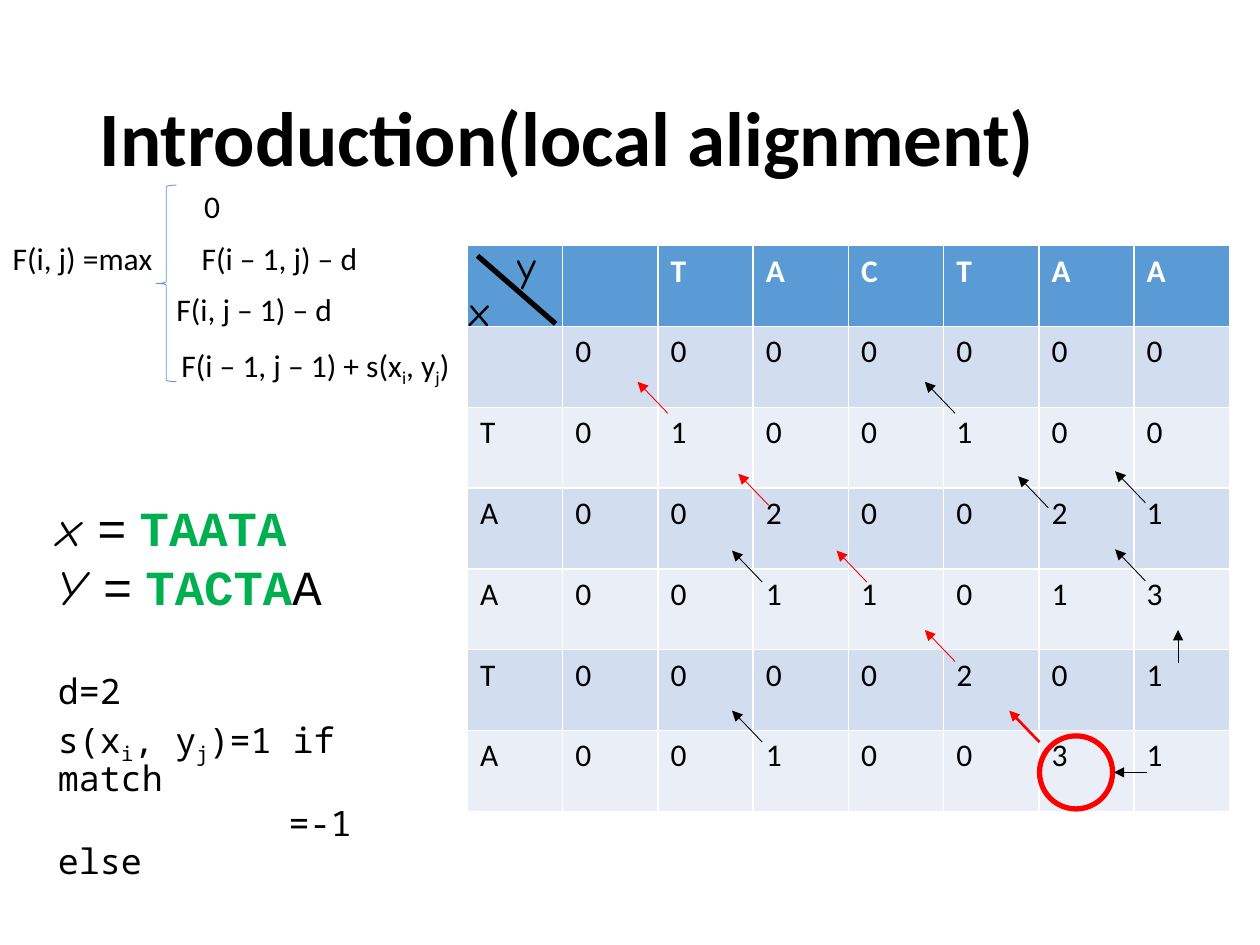
from lxml import etree
from pptx import Presentation
from pptx import util as u
from pptx.dml.color import RGBColor
from pptx.enum import shapes, text
from pptx.oxml import ns

PX = 9144
HUES = {"ink": "000000", "paper": "FFFFFF", "red": "FF0000", "green": "00B050",
        "head": "5B9BD5", "dark": "D2DEEF", "pale": "EAEFF7"}

BODY = {"name": "Calibri", "size": u.Pt(18)}
HEAD = {**BODY, "bold": True}
BIG = {"name": "Arial", "size": u.Pt(28)}
VAR = {**BIG, "name": "Comic Neue", "italic": True}
SEQ = {**BIG, "name": "Courier New"}
HIT = {**SEQ, "bold": True}
MONO = {"name": "Noto Sans Mono", "size": u.Pt(20)}
MARK = {"name": "Comic Neue", "size": u.Pt(24)}
TITLE = {"name": "Calibri", "size": u.Pt(44), "bold": True}

GRID = ["  TACTAA", " 0000000", "T0100100", "A0020021",
        "A0011013", "T0000201", "A0010031"]
STEPS = [(135, 108, "red", 0.5), (215, 181, "red", 0.5), (293, 242, "red", 0.5),
         (363, 305, "red", 0.5), (430, 369, "red", 1.5), (437, 183, "ink", 0.5),
         (363, 108, "ink", 0.5), (514, 179, "ink", 0.5), (514, 241, "ink", 0.5),
         (210, 242, "ink", 0.5), (210, 369, "ink", 0.5)]


def px(*nums):
    return [u.Emu(n * PX) for n in nums]


def rgb(hue):
    return RGBColor.from_string(HUES[hue])


def give(thing, form):
    for key, val in form.items():
        setattr(thing, key, val)


def place(shape, box):
    give(shape, dict(zip(("left", "top", "width", "height"), px(*box))))


def add_run(par, words, form, hue="ink", sub=False):
    run = par.add_run()
    run.text = words
    give(run.font, form)
    run.font.color.rgb = rgb(hue)
    if sub:
        run._r.get_or_add_rPr().set("baseline", "-25000")


def add_score(par, parts, form):
    for num, words in enumerate(parts):
        add_run(par, words, form, sub=num % 2 == 1)


def set_par(par, left=0, first=0, tab=None, gap=0, lead=1.0):
    props = par._p.get_or_add_pPr()
    props.set("marL", str(left * PX))
    props.set("indent", str(first * PX))
    give(par, {"space_before": u.Pt(gap), "line_spacing": lead})
    etree.SubElement(props, ns.qn("a:buNone"))
    if tab:
        tabs = etree.SubElement(props, ns.qn("a:tabLst"))
        etree.SubElement(tabs, ns.qn("a:tab"), pos=str(tab * PX), algn="l")


def add_pars(holder, box, forms):
    place(holder, box)
    frame = holder.text_frame
    give(frame, {"word_wrap": True, "auto_size": text.MSO_AUTO_SIZE.NONE})
    pars = [frame.paragraphs[0]] + [frame.add_paragraph() for _ in forms[1:]]
    for par, form in zip(pars, forms):
        set_par(par, **form)
    return pars


def add_title(holder, box):
    par, = add_pars(holder, box, [{"lead": 0.9}])
    par.alignment = text.PP_ALIGN.LEFT
    holder.text_frame.vertical_anchor = text.MSO_ANCHOR.MIDDLE
    add_run(par, "Introduction(local alignment)", TITLE)


def add_rule(slide, holder, box):
    next_line = {"gap": 10, "lead": 0.9}
    zero, up, side, diag = add_pars(holder, box, [
        {"left": 152, "lead": 0.9}, {"tab": 127, **next_line},
        {"left": 130, **next_line}, {"left": 134, **next_line}])
    add_run(zero, "0", BODY)
    add_run(up, "F(i, j) =max\tF(i – 1, j) – d", BODY)
    add_run(side, "F(i, j – 1) – d", BODY)
    add_score(diag, ["F(i – 1, j – 1) + s(x", "i", ", y", "j", ")"], BODY)
    brace = slide.shapes.add_shape(shapes.MSO_SHAPE.LEFT_BRACE,
                                   *px(box[0] + 124, box[1], 16, 156))
    outline(brace, "head", 0.5)


def add_input(holder, box):
    next_line = {"gap": 4, "lead": 0.9}
    one, two, cost, match, other = add_pars(holder, box, [
        {}, {}, {"gap": 31}, next_line, {"first": 183, **next_line}])
    for par, name, seq in ((one, "x ", "TAATA"), (two, "Y ", "TACTA")):
        add_run(par, name, VAR)
        add_run(par, "= ", BIG)
        add_run(par, seq, HIT, "green")
    add_run(two, "A", SEQ)
    add_run(cost, "d=2", MONO)
    add_score(match, ["s(x", "i", ", y", "j", ")=1 if match"], MONO)
    add_run(other, "=-1 else", MONO)


def outline(shape, hue, width):
    shape.shadow.inherit = False
    shape.fill.background()
    shape.line.color.rgb = rgb(hue)
    shape.line.width = u.Pt(width)


def add_line(tree, ends, hue, width, tip=True):
    line = tree.add_connector(shapes.MSO_CONNECTOR.STRAIGHT, *px(*ends))
    line.line.color.rgb = rgb(hue)
    line.line.width = u.Pt(width)
    if tip:
        etree.SubElement(line.line._get_or_add_ln(), ns.qn("a:tailEnd"), type="triangle")
    etree.SubElement(line._element.spPr, ns.qn("a:effectLst"))


def add_grid(slide, box):
    wide, high = len(GRID[0]), len(GRID)
    table = slide.shapes.add_table(high, wide, *px(*box)).table
    for col in table.columns:
        col.width = u.Emu(box[2] * PX // wide)
    for row in table.rows:
        row.height = u.Emu(box[3] * PX // high)
    for r, line in enumerate(GRID):
        fill = "head" if r == 0 else ("pale", "dark")[r % 2]
        for c, sign in enumerate(line):
            cell = table.cell(r, c)
            cell.fill.solid()
            cell.fill.fore_color.rgb = rgb(fill)
            if sign != " ":
                add_run(cell.text_frame.paragraphs[0], sign,
                        BODY if r else HEAD, "ink" if r else "paper")


def add_axes(slide, box):
    x, y = box[:2]
    group = slide.shapes.add_group_shape().shapes
    for name, left, top, width in (("x", -8, 26, 40), ("y", 30, -10, 37)):
        frame = group.add_textbox(*px(x + left, y + top, width, 51)).text_frame
        frame.word_wrap = False
        add_run(frame.paragraphs[0], name, MARK)
    add_line(group, (x + 8, y + 8, x + 70, y + 62), "ink", 3, tip=False)


def add_trace(slide, box):
    x, y = box[:2]
    tree = slide.shapes
    for left, top, hue, width in STEPS:
        add_line(tree, (x + left + 24, y + top + 25, x + left, y + top), hue, width)
    add_line(tree, (x + 564, y + 331, x + 564, y + 305), "ink", 0.5)
    best = tree.add_shape(shapes.MSO_SHAPE.OVAL, *px(x + 454, y + 389, 58, 58))
    outline(best, "red", 3)
    add_line(tree, (x + 539, y + 418, x + 513, y + 418), "ink", 0.5)


def main():
    deck = Presentation()
    deck.slide_width, deck.slide_height = px(1000, 750)
    slide = deck.slides.add_slide(deck.slide_layouts[3])
    title, rule, data = list(slide.placeholders)[:3]
    grid = (371, 195, 605, 449)
    add_title(title, (69, 40, 862, 145))
    add_input(data, (36, 390, 273, 210))
    add_rule(slide, rule, (0, 147, 431, 181))
    add_grid(slide, grid)
    add_axes(slide, grid)
    add_trace(slide, grid)
    deck.save("out.pptx")


if __name__ == "__main__":
    main()
